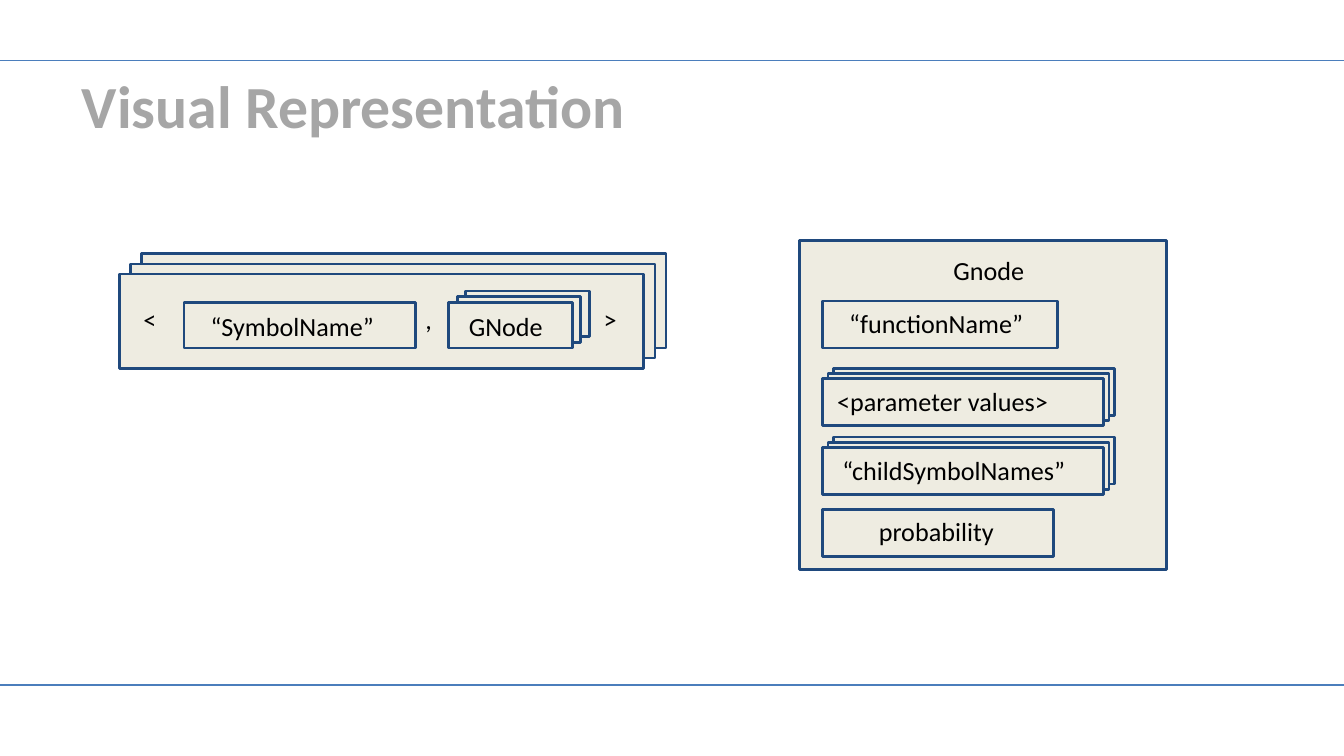
from dataclasses import dataclass, field
from typing import NamedTuple

from lxml import etree
from pptx import Presentation
from pptx import util as u
from pptx.dml.color import RGBColor
from pptx.enum import shapes, text
from pptx.oxml import ns


@dataclass(frozen=True)
class Theme:
    font: str = "Calibri"
    title_size: int = 32
    body_size: int = 14
    title: RGBColor = field(default_factory=lambda: RGBColor(0xA6, 0xA6, 0xA6))
    body: RGBColor = field(default_factory=lambda: RGBColor(0, 0, 0))
    rule: RGBColor = field(default_factory=lambda: RGBColor(0x4B, 0x7E, 0xBC))
    fill: RGBColor = field(default_factory=lambda: RGBColor(0xEE, 0xEC, 0xE1))
    outline: RGBColor = field(default_factory=lambda: RGBColor(0x1F, 0x49, 0x7D))
    rule_width: float = 0.75
    outline_width: float = 1.5
    inset: float = 0.25


class Box(NamedTuple):
    x: float
    y: float
    w: float
    h: float


class Label(NamedTuple):
    words: str
    box: Box
    centred: bool = False
    tabs: tuple[float, ...] = ()


class Card(NamedTuple):
    box: Box
    label: Label
    layers: int = 1
    dx: float = 0
    dy: float = 0


THEME = Theme()
WIDTH, HEIGHT = 25.4, 14.29
RULES = (1.14, 12.95)
FIELD_X, FIELD_H, LABEL_H = 15.54, 0.89, 0.81

CARDS = [
    Card(Box(2.26, 5.18, 9.91, 1.78),
         Label("<\t,\t>", Box(2.46, 5.49, 9.88, 1.22), tabs=(5.33, 8.7)),
         3, 0.21, -0.19),
    Card(Box(8.48, 5.72, 2.34, 0.86),
         Label("GNode", Box(8.61, 5.61, 2.16, 0.76)), 3, 0.16, -0.11),
    Card(Box(3.48, 5.72, 4.37, 0.86),
         Label("“SymbolName”", Box(3.73, 5.61, 4.01, 0.76))),
    Card(Box(15.11, 4.55, 6.93, 6.22),
         Label("Gnode", Box(17.04, 4.55, 3.3, LABEL_H), centred=True)),
    Card(Box(FIELD_X, 5.69, 4.45, FIELD_H),
         Label("“functionName”", Box(15.8, 5.56, 4.09, LABEL_H))),
    Card(Box(FIELD_X, 9.63, 4.37, FIELD_H),
         Label("probability", Box(16.36, 9.5, 3.43, LABEL_H))),
    Card(Box(FIELD_X, 7.16, 5.31, FIELD_H),
         Label("<parameter values>", Box(15.57, 7.04, 5.66, 1.27)), 3, 0.11, -0.1),
    Card(Box(FIELD_X, 8.46, 5.31, FIELD_H),
         Label("“childSymbolNames”", Box(15.67, 8.33, 5.31, LABEL_H)), 3, 0.11, -0.1),
]


def cm(box: Box) -> list[u.Cm]:
    return [u.Cm(v) for v in box]


def add_rule(s, y: float) -> None:
    c = s.shapes.add_connector(
        shapes.MSO_CONNECTOR.STRAIGHT, u.Cm(0), u.Cm(y), u.Cm(WIDTH), u.Cm(y))
    c.line.color.rgb = THEME.rule
    c.line.width = u.Pt(THEME.rule_width)
    etree.SubElement(c._element.spPr, ns.qn("a:effectLst"))


def add_rect(s, box: Box) -> None:
    sp = s.shapes.add_shape(shapes.MSO_SHAPE.RECTANGLE, *cm(box))
    sp.shadow.inherit = False
    sp.fill.solid()
    sp.fill.fore_color.rgb = THEME.fill
    sp.line.color.rgb = THEME.outline
    sp.line.width = u.Pt(THEME.outline_width)


def add_label(s, label: Label, size: int, color: RGBColor,
              inset_y: float, bold: bool = False) -> None:
    tf = s.shapes.add_textbox(*cm(label.box)).text_frame
    tf.word_wrap = True
    tf.vertical_anchor = text.MSO_ANCHOR.TOP
    tf.margin_left = tf.margin_right = u.Cm(THEME.inset)
    tf.margin_top = tf.margin_bottom = u.Cm(inset_y)
    tf.text = label.words
    p = tf.paragraphs[0]
    p.alignment = text.PP_ALIGN.CENTER if label.centred else text.PP_ALIGN.LEFT
    if label.tabs:
        stops = etree.SubElement(p._p.get_or_add_pPr(), ns.qn("a:tabLst"))
        for pos in label.tabs:
            etree.SubElement(stops, ns.qn("a:tab"), pos=str(u.Cm(pos)), algn="l")
    for r in p.runs:
        r.font.name = THEME.font
        r.font.size = u.Pt(size)
        r.font.bold = bold
        r.font.color.rgb = color


def add_card(s, card: Card) -> None:
    x, y, w, h = card.box
    for i in reversed(range(card.layers)):
        add_rect(s, Box(x + i * card.dx, y + i * card.dy, w, h))
    add_label(s, card.label, THEME.body_size, THEME.body, THEME.inset)


def main() -> None:
    prs = Presentation()
    prs.slide_width, prs.slide_height = u.Cm(WIDTH), u.Cm(HEIGHT)
    s = prs.slides.add_slide(prs.slide_layouts[6])
    for y in RULES:
        add_rule(s, y)
    for card in CARDS:
        add_card(s, card)
    title = Label("Visual Representation", Box(1.3, 1.17, 23.8, 6.76))
    add_label(s, title, THEME.title_size, THEME.title, THEME.inset / 2, bold=True)
    prs.save("out.pptx")


if __name__ == "__main__":
    main()
